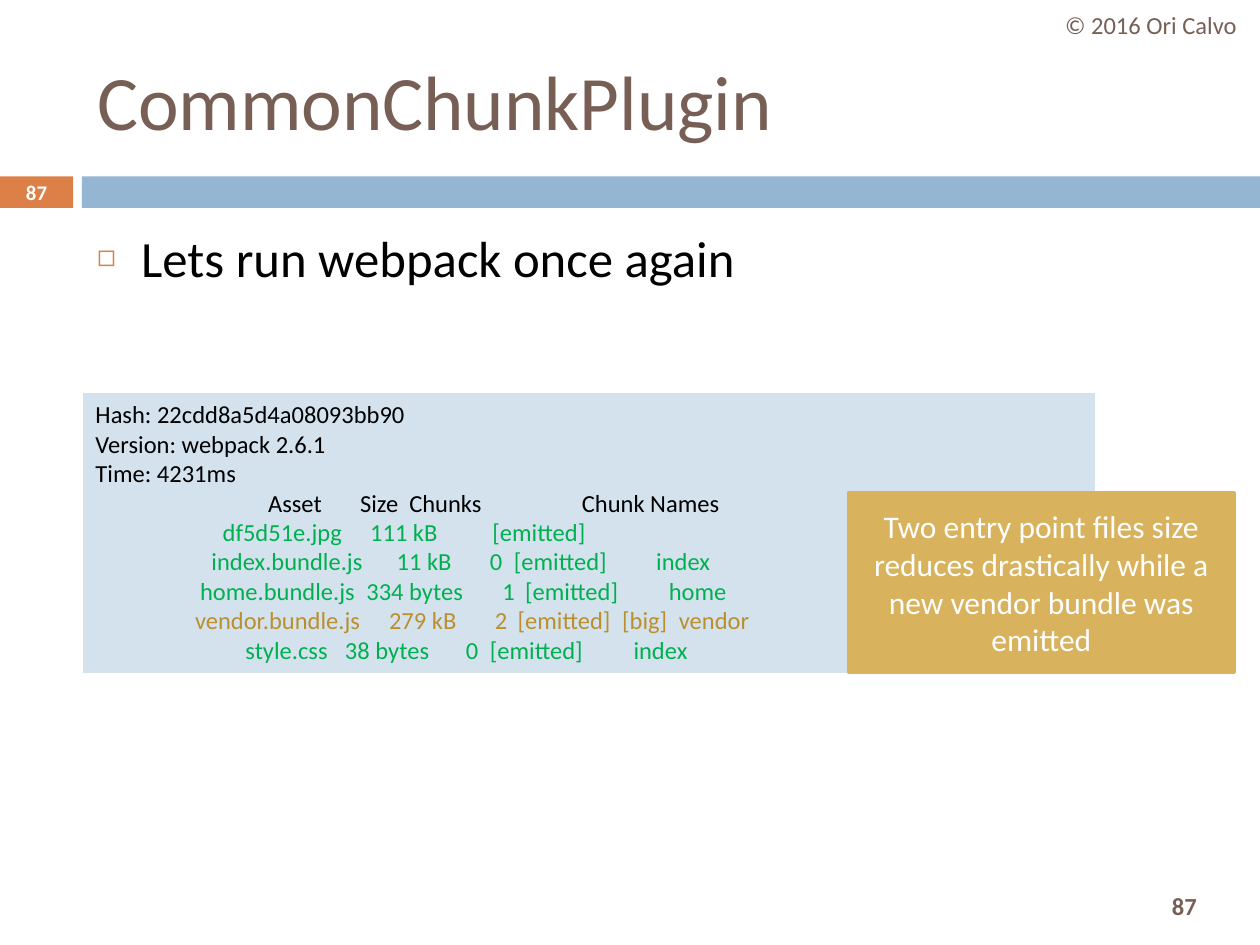
"""Build the CommonChunkPlugin slide with its webpack output and callout."""
import pptx
import pptx.dml.color
import pptx.enum.shapes
import pptx.enum.text
import pptx.oxml
import pptx.oxml.ns
import pptx.util
from pptx.util import Inches

THEME = {
    "font": "Calibri",
    "brown": "775F55", "orange": "DD8047", "blue": "94B6D2", "pale": "D4E2ED",
    "gold": "D8B25C", "dark_gold": "BA8F2D", "green": "00B050",
    "black": "000000", "white": "FFFFFF",
    "title": 44, "body": 29, "callout": 18, "small": 14, "badge": 11.9,
}
ALIGN = pptx.enum.text.PP_ALIGN
MIDDLE = pptx.enum.text.MSO_ANCHOR.MIDDLE
TOP = pptx.enum.text.MSO_ANCHOR.TOP


def write(para, text, size="small", color="black", bold=False, align=ALIGN.LEFT):
    para.alignment = align
    span = para.add_run()
    span.text = text
    span.font.name = THEME["font"]
    span.font.size = pptx.util.Pt(THEME[size])
    span.font.bold = bold
    span.font.color.rgb = pptx.dml.color.RGBColor.from_string(THEME[color])


def add_box(page, place, fill=None, outline=None, anchor=MIDDLE):
    box = page.shapes.add_shape(pptx.enum.shapes.MSO_SHAPE.RECTANGLE, *map(Inches, place))
    box.shadow.inherit = False
    for paint, color in ((box.fill, fill), (box.line.fill, outline)):
        if color:
            paint.solid()
            paint.fore_color.rgb = pptx.dml.color.RGBColor.from_string(THEME[color])
        else:
            paint.background()
    box.text_frame.word_wrap = True
    box.text_frame.vertical_anchor = anchor
    return box


deck = pptx.Presentation()
deck.slide_width, deck.slide_height = Inches(10), Inches(7.5)
page = deck.slides.add_slide(deck.slide_layouts[1])

add_box(page, (0, 1.4, 0.58, 0.25), "orange")
add_box(page, (0.65, 1.4, 9.35, 0.25), "blue")

title, body = page.placeholders
for holder, place, anchor in (
    (title, (0.67, 0.25, 8.92, 1.08), MIDDLE),
    (body, (0.67, 1.75, 8.92, 0.66), TOP),
):
    holder.left, holder.top, holder.width, holder.height = map(Inches, place)
    holder.text_frame.auto_size = pptx.enum.text.MSO_AUTO_SIZE.NONE
    holder.text_frame.vertical_anchor = anchor
write(title.text_frame.paragraphs[0], "CommonChunkPlugin", size="title", color="brown")

bullet = body.text_frame.paragraphs[0]
write(bullet, "Lets run webpack once again", size="body")
bullet.space_before = pptx.util.Pt(7)
properties = bullet._p.get_or_add_pPr()
properties.set("marL", str(Inches(0.35)))
properties.set("indent", str(Inches(-0.35)))
namespace = pptx.oxml.ns.nsdecls("a")
for markup in (
    f'<a:buClr {namespace}><a:srgbClr val="{THEME["orange"]}"/></a:buClr>',
    f'<a:buSzPct {namespace} val="60000"/>',
    f'<a:buChar {namespace} char="\u25fb"/>',
):
    properties.append(pptx.oxml.parse_xml(markup))

for place, text, style in (
    ((8.94, 6.98, 0.92, 0.42), "87", {"color": "brown", "bold": True}),
    ((8.27, 0, 1.73, 0.4), "© 2016 Ori Calvo", {"color": "brown"}),
    ((0, 1.39, 0.58, 0.27), "87", {"size": "badge", "color": "white", "bold": True}),
):
    label = add_box(page, place)
    write(label.text_frame.paragraphs[0], text, align=ALIGN.CENTER, **style)

output_rows = [
    ("black", [(0, "Hash: 22cdd8a5d4a08093bb90")]),
    ("black", [(0, "Version: webpack 2.6.1")]),
    ("black", [(0, "Time: 4231ms")]),
    ("black", [(1.37, "Asset"), (2.1, "Size"), (2.49, "Chunks"), (3.86, "Chunk Names")]),
    ("green", [(1.01, "df5d51e.jpg"), (2.18, "111 kB"), (3.15, "[emitted]")]),
    ("green", [(0.92, "index.bundle.js"), (2.39, "11 kB"), (3.13, "0"),
               (3.32, "[emitted]"), (4.45, "index")]),
    ("green", [(0.83, "home.bundle.js"), (2.15, "334 bytes"), (3.23, "1"),
               (3.41, "[emitted]"), (4.55, "home")]),
    ("dark_gold", [(0.79, "vendor.bundle.js"), (2.33, "279 kB"), (3.17, "2"),
                   (3.35, "[emitted]"), (4.18, "[big]"), (4.63, "vendor")]),
    ("green", [(1.19, "style.css"), (1.98, "38 bytes"), (2.94, "0"),
               (3.13, "[emitted]"), (4.27, "index")]),
]
console = add_box(page, (0.66, 3.12, 8.03, 2.22), "pale", anchor=TOP)
for index, (color, cells) in enumerate(output_rows):
    frame = console.text_frame
    para = frame.add_paragraph() if index else frame.paragraphs[0]
    write(para, "".join("\t" + text if stop else text for stop, text in cells), color=color)
    stops = "".join(f'<a:tab pos="{Inches(stop)}" algn="l"/>' for stop, text in cells if stop)
    if stops:
        tab_list = pptx.oxml.parse_xml(f"<a:tabLst {namespace}>{stops}</a:tabLst>")
        para._p.get_or_add_pPr().append(tab_list)

callout = add_box(page, (6.73, 3.91, 3.07, 1.43), "gold", outline="gold")
callout.line.width = pptx.util.Pt(1.5)
write(callout.text_frame.paragraphs[0],
      "Two entry point files size reduces drastically while a new vendor bundle was emitted",
      size="callout", color="white", align=ALIGN.CENTER)

deck.save("out.pptx")
